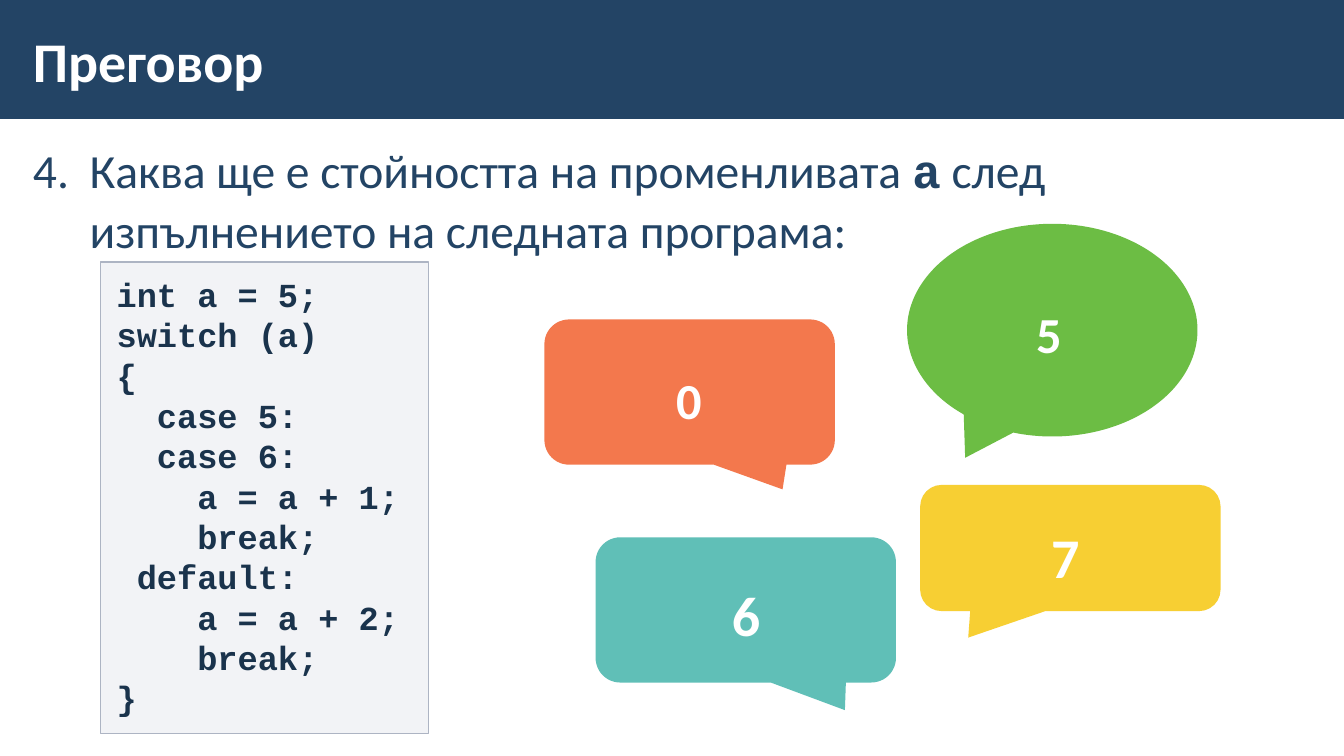
from dataclasses import dataclass

from lxml import etree
from pptx import Presentation
from pptx.dml.color import RGBColor
from pptx.enum.shapes import MSO_SHAPE
from pptx.enum.text import MSO_ANCHOR, MSO_AUTO_SIZE, PP_ALIGN
from pptx.oxml.ns import qn
from pptx.util import Cm, Pt

ELLIPSE = MSO_SHAPE.OVAL_CALLOUT
ROUNDED = MSO_SHAPE.ROUNDED_RECTANGULAR_CALLOUT
RECTANGLE = MSO_SHAPE.RECTANGLE
LEFT, CENTER = PP_ALIGN.LEFT, PP_ALIGN.CENTER
TOP, MIDDLE = MSO_ANCHOR.TOP, MSO_ANCHOR.MIDDLE
NO_AUTOFIT = MSO_AUTO_SIZE.NONE
TWO_CONTENT_LAYOUT = 3


@dataclass(frozen=True)
class Theme:
    text_font: str = "Calibri"
    code_font: str = "Courier New"
    navy: str = "234465"
    code_ink: str = "1A334C"
    code_box: str = "ADB4C3"
    white: str = "FFFFFF"
    green: str = "6CBD44"
    yellow: str = "F5C300"
    orange: str = "F15721"
    teal: str = "60BFB7"
    title_size: int = 40
    question_size: int = 34
    code_size: int = 24
    small_answer: int = 36
    large_answer: int = 40


THEME = Theme()


@dataclass(frozen=True)
class Box:
    left: float
    top: float
    width: float
    height: float

    def lengths(self) -> tuple:
        return Cm(self.left), Cm(self.top), Cm(self.width), Cm(self.height)


@dataclass(frozen=True)
class Answer:
    text: str
    bubble: Box
    label: Box
    color: str
    adjustments: tuple
    size: int
    outline: int = ROUNDED
    opacity: int = 100
    align: int = CENTER
    left_inset: float = 0.4
    line_spacing: float = 1.1


ANSWERS = [
    Answer("5", Box(22.86, 5.64, 7.32, 5.36), Box(24.43, 7.34, 4.34, 2.13),
           THEME.green, (-0.3, 0.6), THEME.small_answer, outline=ELLIPSE,
           align=LEFT, left_inset=1.68, line_spacing=1.0),
    Answer("7", Box(23.19, 12.22, 7.57, 3.18), Box(23.11, 12.7, 7.47, 2.39),
           THEME.yellow, (-0.34, 0.71, 0.17), THEME.large_answer, opacity=80),
    Answer("0", Box(13.72, 8.05, 7.32, 3.66), Box(16.64, 8.84, 2.31, 2.21),
           THEME.orange, (0.32, 0.67, 0.17), THEME.small_answer, opacity=80,
           align=LEFT),
    Answer("6", Box(15.01, 13.54, 7.57, 3.66), Box(15.39, 14.17, 6.83, 2.39),
           THEME.teal, (0.33, 0.69, 0.17), THEME.large_answer),
]

PROGRAM = """int a = 5;
switch (a)
{
  case 5:
  case 6:
    a = a + 1;
    break;
 default:
    a = a + 2;
    break;
}"""


def place(shape, box: Box) -> None:
    shape.left, shape.top, shape.width, shape.height = box.lengths()


def paint(shape, color: str, opacity: int = 100) -> None:
    shape.fill.solid()
    shape.fill.fore_color.rgb = RGBColor.from_string(color)
    if opacity < 100:
        rgb = shape.element.spPr.find(".//" + qn("a:srgbClr"))
        etree.SubElement(rgb, qn("a:alpha")).set("val", str(opacity * 1000))


def set_frame(frame, side: float, edge: float, anchor: int = TOP) -> None:
    frame.word_wrap = True
    frame.auto_size = NO_AUTOFIT
    frame.vertical_anchor = anchor
    frame.margin_left = frame.margin_right = Cm(side)
    frame.margin_top = frame.margin_bottom = Cm(edge)


def set_font(run, name: str, size: int, color: str, bold: bool = True) -> None:
    run.font.name = name
    run.font.size = Pt(size)
    run.font.bold = bold
    run.font.color.rgb = RGBColor.from_string(color)


def set_spacing(paragraph, lines: float, around: int = 0) -> None:
    paragraph.line_spacing = lines
    paragraph.space_before = paragraph.space_after = Pt(around)


def set_bullet(paragraph, tag: str, indent: float = 0, **attributes: str) -> None:
    properties = paragraph._p.get_or_add_pPr()
    properties.set("marL", str(Cm(indent)))
    properties.set("indent", str(-Cm(indent)))
    etree.SubElement(properties, qn(tag), attributes)


def add_header(slide) -> None:
    title = slide.shapes.title
    bar = slide.shapes.add_shape(RECTANGLE, *Box(0, -0.05, 33.87, 3.05).lengths())
    bar.shadow.inherit = False
    paint(bar, THEME.navy)
    bar.line.fill.background()
    title.element.addprevious(bar.element)

    place(title, Box(0.53, 0.28, 26.42, 2.46))
    title.text_frame.text = "Преговор"
    set_frame(title.text_frame, 0.3, 0.1, MIDDLE)
    heading = title.text_frame.paragraphs[0]
    heading.alignment = LEFT
    set_font(heading.runs[0], THEME.text_font, THEME.title_size, THEME.white)


def add_question(body) -> None:
    place(body, Box(0.53, 3.38, 32.79, 14.4))
    set_frame(body.text_frame, 0.3, 0.1)
    question = body.text_frame.paragraphs[0]
    question.text = "Каква ще е стойността на променливата "
    variable = question.add_run()
    variable.text = "а"
    question.add_run().text = " след "
    question.add_line_break()
    question.add_run().text = "изпълнението на следната програма:"
    for run in question.runs:
        set_font(run, THEME.text_font, THEME.question_size, THEME.navy, False)
    set_font(variable, THEME.code_font, THEME.question_size, THEME.navy)
    set_spacing(question, 1.05, 6)
    set_bullet(question, "a:buAutoNum", 1.43, type="arabicPeriod", startAt="4")


def add_program(body) -> None:
    place(body, Box(2.54, 6.6, 8.26, 11.89))
    paint(body, THEME.code_box, 15)
    body.line.color.rgb = RGBColor.from_string(THEME.code_box)
    body.line.width = Pt(1)
    body.text_frame.text = PROGRAM
    set_frame(body.text_frame, 0.4, 0.3)
    for line in body.text_frame.paragraphs:
        set_spacing(line, 1.0)
        set_bullet(line, "a:buNone")
        set_font(line.runs[0], THEME.code_font, THEME.code_size, THEME.code_ink)


def add_answer(slide, answer: Answer) -> None:
    group = slide.shapes.add_group_shape()
    bubble = group.shapes.add_shape(answer.outline, *answer.bubble.lengths())
    bubble.shadow.inherit = False
    for index, adjustment in enumerate(answer.adjustments):
        bubble.adjustments[index] = adjustment
    paint(bubble, answer.color, answer.opacity)
    bubble.line.fill.background()

    label = group.shapes.add_textbox(*answer.label.lengths())
    label.text_frame.text = answer.text
    set_frame(label.text_frame, 0.4, 0.3)
    label.text_frame.margin_left = Cm(answer.left_inset)
    value = label.text_frame.paragraphs[0]
    value.alignment = answer.align
    set_spacing(value, answer.line_spacing)
    set_font(value.runs[0], THEME.text_font, answer.size, THEME.white)


def main() -> None:
    deck = Presentation()
    deck.slide_width, deck.slide_height = Cm(33.87), Cm(19.05)
    slide = deck.slides.add_slide(deck.slide_layouts[TWO_CONTENT_LAYOUT])

    # Heading, question and code
    add_header(slide)
    add_question(slide.placeholders[1])
    add_program(slide.placeholders[2])

    # Possible answers
    for answer in ANSWERS:
        add_answer(slide, answer)

    deck.save("out.pptx")


if __name__ == "__main__":
    main()
